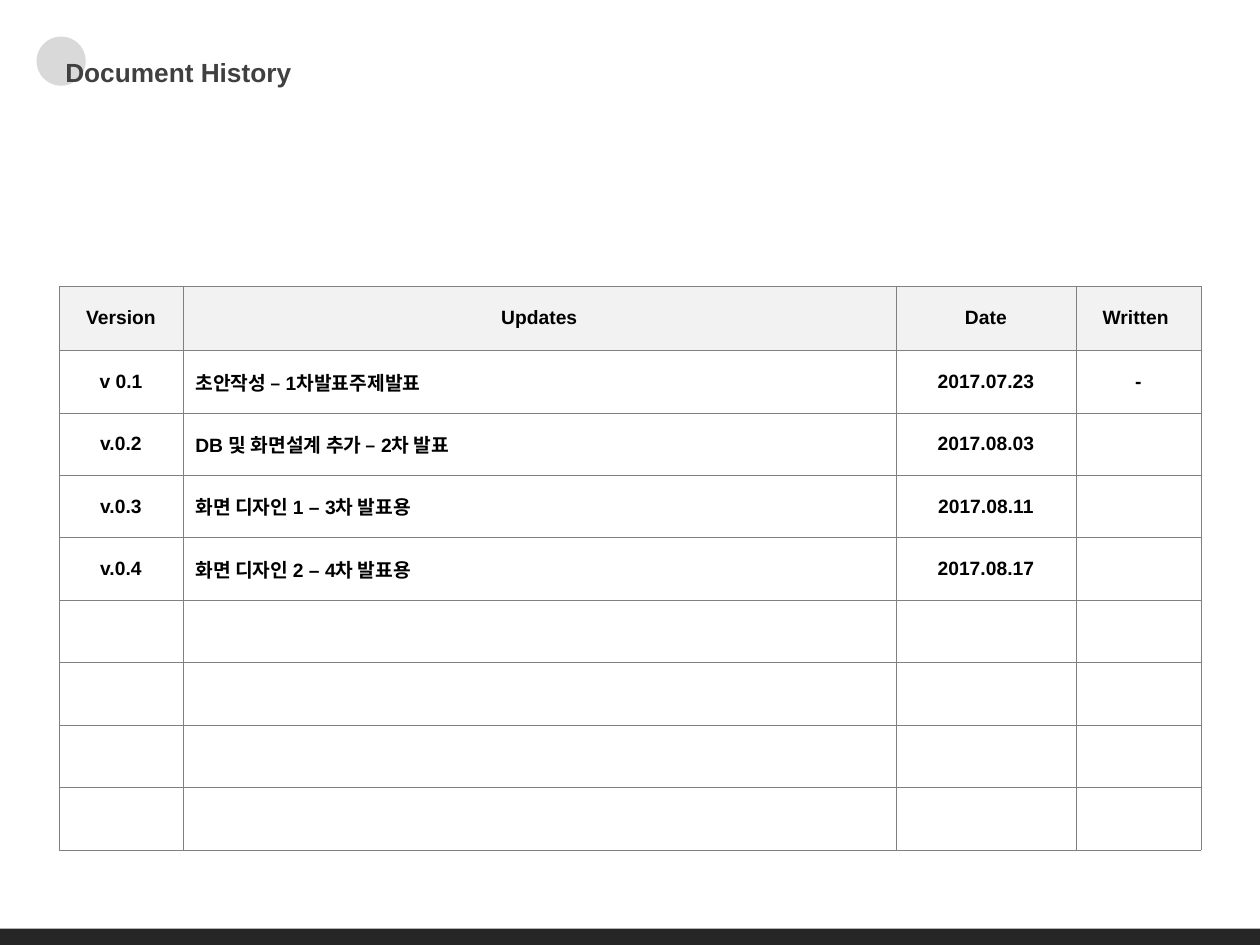
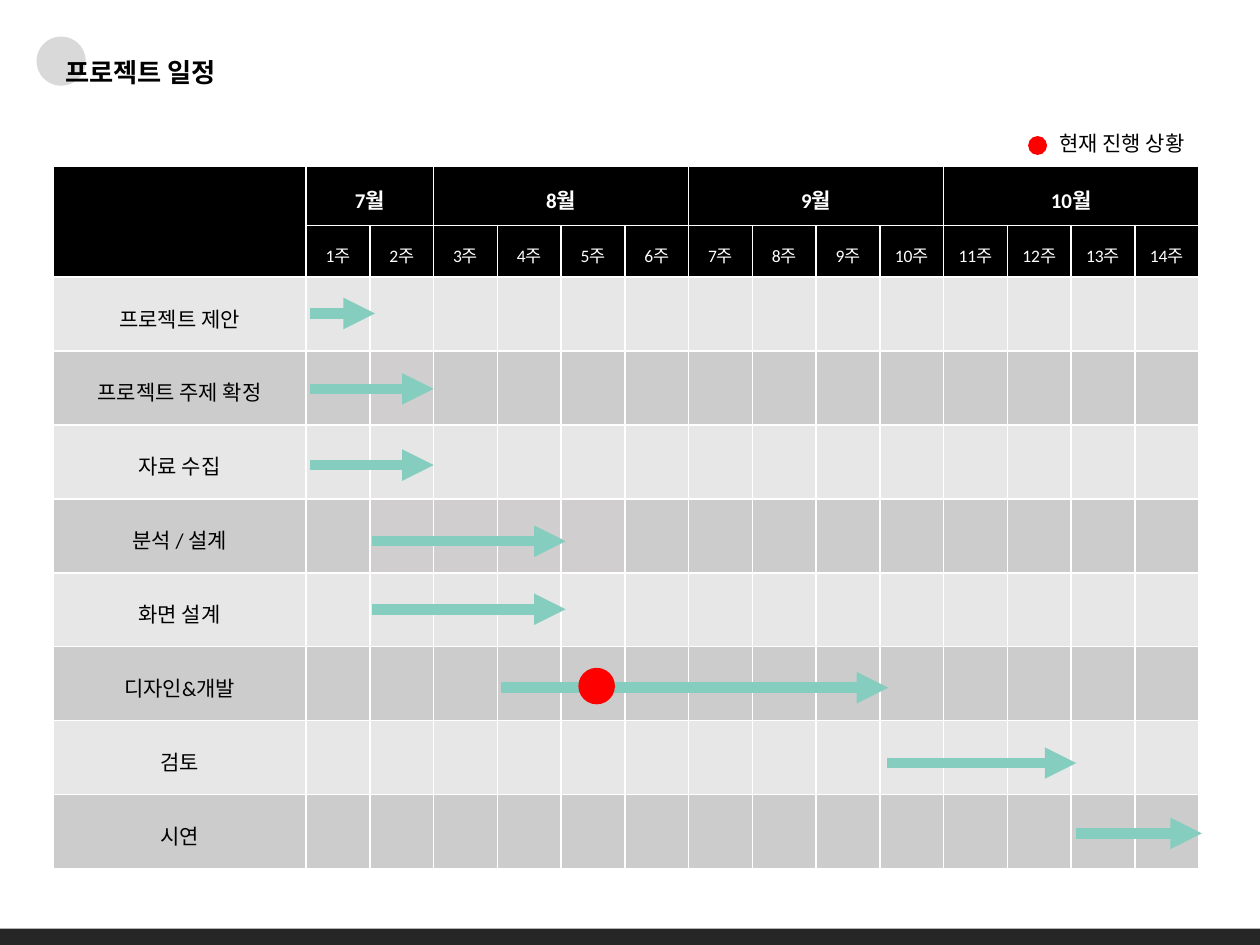
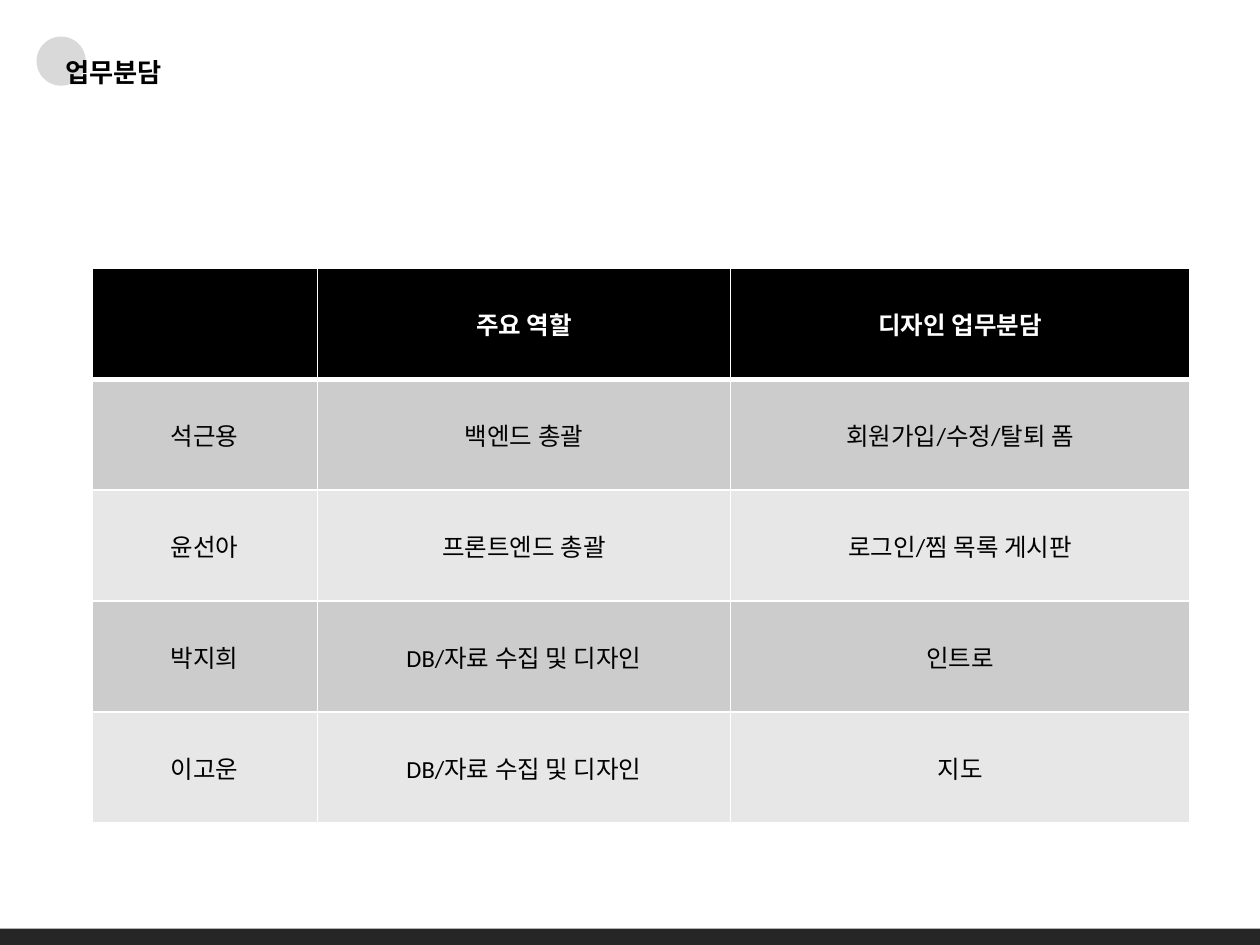
import itertools

import lxml.etree
import pptx
import pptx.dml.color
import pptx.enum.shapes
import pptx.enum.text
import pptx.oxml
import pptx.oxml.ns
import pptx.util

COLOURS = {
    "black": "000000", "white": "FFFFFF", "title": "404040", "bar": "262626",
    "spot": "D9D9D9", "border": "808080", "header": "F2F2F2",
    "light": "E7E7E7", "dark": "CCCCCC", "light_tint": "E7E6E6", "dark_tint": "D0CECE",
    "arrow": "85CDBE", "current": "FF0000",
}
RGB = {name: pptx.dml.color.RGBColor.from_string(value) for name, value in COLOURS.items()}
SHAPES = pptx.enum.shapes.MSO_SHAPE
ALIGN = pptx.enum.text.PP_ALIGN
ANCHOR = pptx.enum.text.MSO_ANCHOR

presentation = pptx.Presentation()
presentation.slide_width = pptx.util.Inches(10)
presentation.slide_height = pptx.util.Inches(7.5)
unit = presentation.slide_width / 100


def grid(*steps):
    return [round(step * unit) for step in steps]


def write(paragraph, text, font, size, colour, bold=False):
    run = paragraph.add_run()
    run.text = text
    run.font.name = font
    run.font.size = pptx.util.Pt(size)
    run.font.bold = bold
    run.font.color.rgb = RGB[colour]


tasks = [
    ("프로젝트 제안", range(1, 2), 0.06, 1.08, 0.49),
    ("프로젝트 주제 확정", range(2, 3), 0.06, 2, 1.51),
    ("자료 수집", range(1, 4), 0.06, 2, 2.54),
    ("분석 / 설계", range(2, 6), 1.03, 4.07, 3.57),
    ("화면 설계", range(2, 5), 1.03, 4.07, 4.49),
    ("디자인&개발", range(0), 3.06, 9.13, 5.55),
    ("검토", range(0), 9.11, 12.08, 6.57),
    ("시연", range(0), 12.08, 14.05, 7.52),
]
months = [("7월", 1, 2), ("8월", 3, 6), ("9월", 7, 10), ("10월", 11, 14)]
month_names = {first: month for month, first, last in months}
week_numbers = range(1, 15)
schedule_left, schedule_top = 4.2, 13.2
label_width, week_width = 20.1, 5.06
month_height, week_height, task_height = 4.7, 4.1, 5.87

task_fills = []
for (task, tinted, start, end, level), shade in zip(tasks, itertools.cycle(["light", "dark"])):
    task_fills.append([shade + "_tint" if week in tinted else shade for week in range(15)])

pages = [
    {
        "title": "Document History", "title_colour": "title", "title_width": 20.6,
        "at": (4.7, 22.7), "columns": [9.8, 56.6, 14.3, 9.9], "rows": [5.1] + [4.96] * 8,
        "texts": [
            ["Version", "Updates", "Date", "Written "],
            ["v 0.1", "초안작성 – 1차발표주제발표", "2017.07.23", "-"],
            ["v.0.2", "DB 및 화면설계 추가 – 2차 발표", "2017.08.03", ""],
            ["v.0.3", "화면 디자인 1 – 3차 발표용", "2017.08.11", ""],
            ["v.0.4", "화면 디자인 2 – 4차 발표용", "2017.08.17", ""],
        ] + [[""] * 4] * 4,
        "fills": [["header"] * 4] + [[None] * 4] * 8,
        "styles": [("Arial", 11, "black", True)] * 9,
        "border": "border", "border_width": 0.25, "header_width": 0.25,
        "left_aligned": 1, "line_spacing": 1, "merges": [],
    },
    {
        "title": "프로젝트 일정", "title_colour": "black", "title_width": 33.7,
        "at": (schedule_left, schedule_top),
        "columns": [label_width] + [week_width] * 14,
        "rows": [month_height, week_height] + [task_height] * 8,
        "texts": [
            [month_names.get(week, "") for week in range(15)],
            [""] + [f"{week}주" for week in week_numbers],
        ] + [[task[0]] + [""] * 14 for task in tasks],
        "fills": [["black"] * 15] * 2 + task_fills,
        "styles": [("Calibri", 12, "white", True), ("Calibri", 10, "white", False)]
        + [("Calibri", 12, "black", False)] * 8,
        "border": "white", "border_width": 1, "header_width": 1,
        "left_aligned": None, "line_spacing": 1.25,
        "merges": [(0, 0, 1, 0)] + [(0, first, 0, last) for month, first, last in months],
    },
    {
        "title": "업무분담", "title_colour": "black", "title_width": 32.7,
        "at": (7.3, 21.3), "columns": [17.9, 32.8, 36.4], "rows": [8.8] * 5,
        "texts": [
            ["", "주요 역할", "디자인 업무분담"],
            ["석근용", "백엔드 총괄", "회원가입/수정/탈퇴 폼"],
            ["윤선아", "프론트엔드 총괄", "로그인/찜 목록 게시판"],
            ["박지희", "DB/자료 수집 및 디자인", "인트로"],
            ["이고운", "DB/자료 수집 및 디자인", "지도"],
        ],
        "fills": [["black"] * 3] + [["dark"] * 3, ["light"] * 3] * 2,
        "styles": [("Calibri", 14, "white", True)] + [("Calibri", 14, "black", False)] * 4,
        "border": "white", "border_width": 1, "header_width": 3,
        "left_aligned": None, "line_spacing": 1, "merges": [],
    },
]

slides = []
for page in pages:
    slide = presentation.slides.add_slide(presentation.slide_layouts[6])
    slides.append(slide)
    slide.background.fill.solid()
    slide.background.fill.fore_color.rgb = RGB["white"]

    for kind, box, colour in [
        (SHAPES.OVAL, (2.9, 2.9, 3.9, 3.9), "spot"),
        (SHAPES.RECTANGLE, (0, 73.7, 100, 1.3), "bar"),
    ]:
        shape = slide.shapes.add_shape(kind, *grid(*box))
        shape.shadow.inherit = False
        shape.fill.solid()
        shape.fill.fore_color.rgb = RGB[colour]
        shape.line.fill.background()

    title = slide.shapes.add_textbox(*grid(4.2, 3.9, page["title_width"], 3.6)).text_frame
    title.word_wrap = True
    title.vertical_anchor = ANCHOR.BOTTOM
    title.paragraphs[0].line_spacing = 0.9
    write(title.paragraphs[0], page["title"], "Arial", 15, page["title_colour"], True)

    table = slide.shapes.add_table(
        len(page["rows"]), len(page["columns"]),
        *grid(*page["at"], sum(page["columns"]), sum(page["rows"])),
    ).table
    table.first_row = False
    table.horz_banding = False
    for column, width in zip(table.columns, grid(*page["columns"])):
        column.width = width
    for row, height in zip(table.rows, grid(*page["rows"])):
        row.height = height

    for row_index, (texts, fills, style) in enumerate(
        zip(page["texts"], page["fills"], page["styles"])
    ):
        for column_index, (text, fill) in enumerate(zip(texts, fills)):
            cell = table.cell(row_index, column_index)
            cell.vertical_anchor = ANCHOR.MIDDLE
            properties = cell._tc.get_or_add_tcPr()
            for edge in ("lnL", "lnR", "lnT", "lnB"):
                below_header = (row_index, edge) in [(0, "lnB"), (1, "lnT")]
                width = page["header_width"] if below_header else page["border_width"]
                line = lxml.etree.SubElement(
                    properties, pptx.oxml.ns.qn(f"a:{edge}"), w=str(pptx.util.Pt(width))
                )
                solid = lxml.etree.SubElement(line, pptx.oxml.ns.qn("a:solidFill"))
                lxml.etree.SubElement(
                    solid, pptx.oxml.ns.qn("a:srgbClr"), val=COLOURS[page["border"]]
                )
            if fill:
                cell.fill.solid()
                cell.fill.fore_color.rgb = RGB[fill]
            else:
                cell.fill.background()
            if text:
                paragraph = cell.text_frame.paragraphs[0]
                is_left = row_index > 0 and column_index == page["left_aligned"]
                paragraph.alignment = ALIGN.LEFT if is_left else ALIGN.CENTER
                paragraph.line_spacing = page["line_spacing"]
                write(paragraph, text, *style)

    for top, left, bottom, right in page["merges"]:
        table.cell(top, left).merge(table.cell(bottom, right))

schedule = slides[1]
weeks_left = schedule_left + label_width
tasks_top = schedule_top + month_height + week_height
for task, tinted, start, end, level in tasks:
    y = tasks_top + level * task_height
    arrow = schedule.shapes.add_connector(
        pptx.enum.shapes.MSO_CONNECTOR.STRAIGHT,
        *grid(weeks_left + start * week_width, y, weeks_left + end * week_width, y),
    )
    arrow.line.color.rgb = RGB["arrow"]
    arrow.line.width = pptx.util.Pt(6)
    lxml.etree.SubElement(
        arrow.line._get_or_add_ln(), pptx.oxml.ns.qn("a:tailEnd"), type="triangle"
    )
    lxml.etree.SubElement(arrow._element.spPr, pptx.oxml.ns.qn("a:effectLst"))

for left, top, diameter in [(45.9, 53, 2.9), (81.6, 10.8, 1.5)]:
    marker = schedule.shapes.add_shape(SHAPES.OVAL, *grid(left, top, diameter, diameter))
    marker.shadow.inherit = False
    marker.fill.solid()
    marker.fill.fore_color.rgb = RGB["current"]
    marker.line.fill.background()

legend = schedule.shapes.add_textbox(*grid(83.1, 9.9, 14.7, 3)).text_frame
legend.word_wrap = True
write(legend.paragraphs[0], "현재 진행 상황", "Calibri", 12, "black")

presentation.save("out.pptx")
